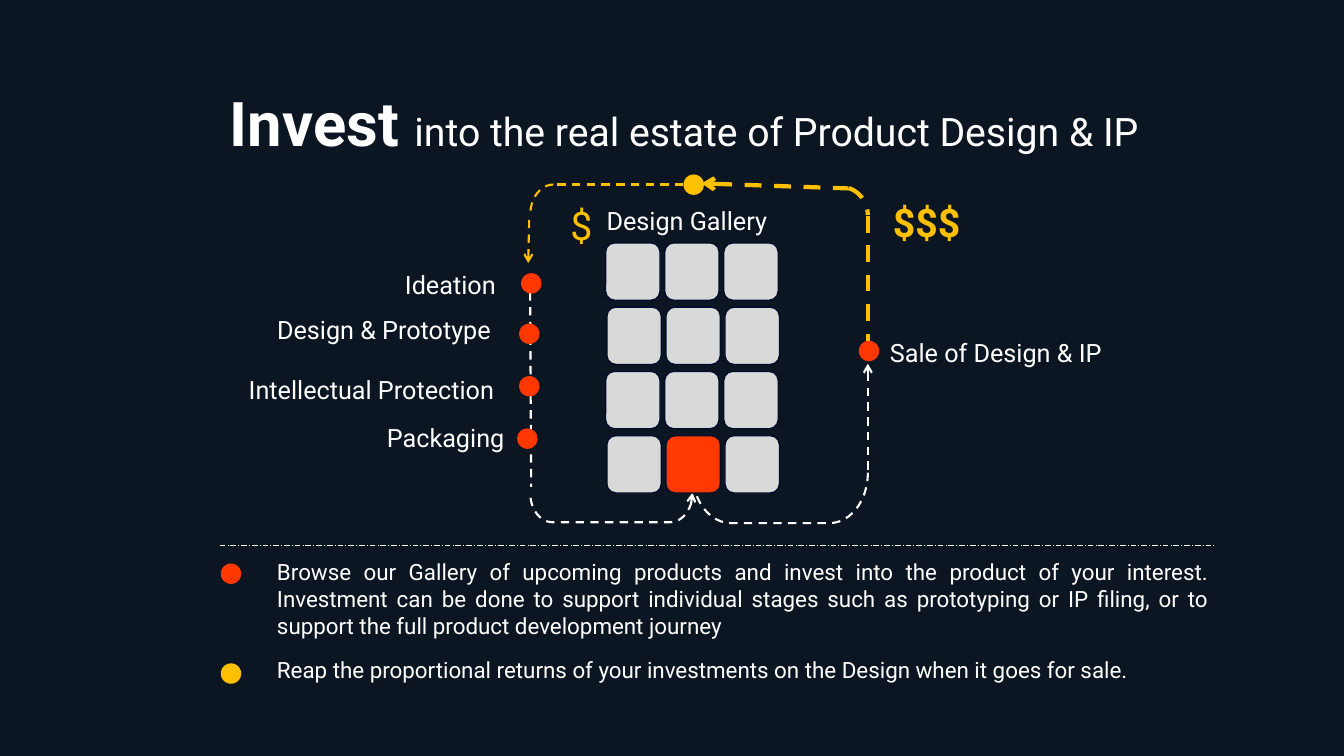
"""Build the slide on investing in product design and IP."""
from lxml.etree import SubElement
from pptx import Presentation
from pptx.dml.color import RGBColor
from pptx.enum.dml import MSO_LINE
from pptx.enum.shapes import MSO_CONNECTOR, MSO_SHAPE
from pptx.enum.text import MSO_ANCHOR, MSO_AUTO_SIZE, PP_ALIGN
from pptx.oxml.ns import qn
from pptx.util import Pt

NAVY = RGBColor(0x0C, 0x16, 0x22)
WHITE = RGBColor(0xFF, 0xFF, 0xFF)
ORANGE = RGBColor(0xFF, 0x37, 0x01)
CHOSEN = RGBColor(0xFF, 0x39, 0x01)
GOLD = RGBColor(0xFF, 0xC0, 0x00)
GREY = RGBColor(0xD9, 0xD9, 0xD9)
TILE_EDGE = RGBColor(0x00, 0x0E, 0x2A)
FONT = "Roboto"

TITLE_BOX = (157, 56.9, 710.6, 60.5)
TITLE_RUNS = [("Invest ", 44, True),
              ("into the real estate of Product Design & IP", 28, False)]

LABELS = [
    ("Ideation", 282.2, 188.6, 82.8),
    ("Design & Prototype", 190.8, 221, 179.3),
    ("Intellectual Protection", 170.6, 263.5, 200.2),
    ("Packaging", 269.3, 298.1, 99.4),
    ("Design Gallery", 426.2, 143.3, 135.4),
    ("Sale of Design & IP", 628.6, 237.6, 170.6),
]
AMOUNTS = [("$", 400.3, 140.4, 31, False), ("$$$", 630.7, 138.2, 65.5, True)]
NOTES = [
    ("Browse our Gallery of upcoming products and invest into the product of "
     "your interest. Investment can be done to support individual stages such "
     "as prototyping or IP filing, or to support the full product development "
     "journey", 395.3, 65.5),
    ("Reap the proportional returns of your investments on the Design when it "
     "goes for sale.", 465.1, 26.6),
]
NOTE_LEFT, NOTE_WIDTH = 190.8, 679.7

DOT_SIZE = 14.6
DOTS = [
    (157.7, 402.5, ORANGE), (157.7, 473.8, GOLD),
    (372.2, 195.1, ORANGE), (370.8, 231.1, ORANGE),
    (370.8, 268.6, ORANGE), (369.4, 306, ORANGE),
    (488.2, 124.6, GOLD), (613.4, 243.4, ORANGE),
]

DIVIDER = (157, 389.5, 867.6, 389.5)
ROUTES = [
    ((378.7, 208.8, 379.4, 347.8), WHITE, 1.5, None),
    ((488.2, 131.8, 395.3, 131.8), GOLD, 1.5, None),
    ((378, 157, 377.3, 187.9), GOLD, 1.5, "tailEnd"),
    ((501.1, 131, 606.2, 134.6), GOLD, 3, "headEnd"),
    ((619.9, 154.1, 619.9, 243.4), GOLD, 3, None),
    ((619.9, 259.9, 619.9, 337.7), WHITE, 1.5, "headEnd"),
]
BRACKETS = [((426.2, 304.6, 20.9, 115.9), "headEnd"),
            ((539.3, 293, 36, 125.3), None)]

TILE_WIDTH, TILE_HEIGHT = 38.9, 41
TILE_LEFT, TILE_TOP = 432.6, 173.5
COLUMN_STEP, ROW_STEP, ROW_SHIFT = 42.2, 45.9, 0.9
ROWS, COLUMNS, CHOSEN_TILE = 4, 3, (3, 1)


def points(*lengths):
    return [Pt(length) for length in lengths]


def add_run(paragraph, text, size, color, bold=False):
    run = paragraph.add_run()
    run.text = text
    run.font.name = FONT
    run.font.size = Pt(size)
    run.font.bold = bold
    run.font.color.rgb = color


def add_text(slide, text, box, size, color, bold=False, justified=False):
    frame = slide.shapes.add_textbox(*points(*box)).text_frame
    frame.word_wrap = justified
    frame.auto_size = MSO_AUTO_SIZE.SHAPE_TO_FIT_TEXT
    paragraph = frame.paragraphs[0]
    paragraph.alignment = PP_ALIGN.JUSTIFY if justified else PP_ALIGN.LEFT
    add_run(paragraph, text, size, color, bold)


def style_line(line, color, width, dash=MSO_LINE.DASH, arrow=None):
    line.color.rgb = color
    line.width = Pt(width)
    line.dash_style = dash
    if arrow:
        SubElement(line._get_or_add_ln(), qn(f"a:{arrow}"), type="arrow")


def add_route(slide, ends, *style, **options):
    route = slide.shapes.add_connector(MSO_CONNECTOR.STRAIGHT, *points(*ends))
    style_line(route.line, *style, **options)
    SubElement(route._element.spPr, qn("a:effectLst"))


def add_preset(slide, preset, box, fill=None):
    shape = slide.shapes.add_shape(preset, *points(*box))
    shape.shadow.inherit = False
    if fill is None:
        shape.fill.background()
    else:
        shape.fill.solid()
        shape.fill.fore_color.rgb = fill
    return shape


def add_title(slide):
    title = slide.shapes.title
    title.left, title.top, title.width, title.height = points(*TITLE_BOX)
    frame = title.text_frame
    frame.word_wrap = False
    frame.auto_size = MSO_AUTO_SIZE.SHAPE_TO_FIT_TEXT
    frame.vertical_anchor = MSO_ANCHOR.TOP
    frame.paragraphs[0].alignment = PP_ALIGN.LEFT
    for text, size, bold in TITLE_RUNS:
        add_run(frame.paragraphs[0], text, size, WHITE, bold)


def add_cycle(slide):
    for ends, color, width, arrow in ROUTES:
        add_route(slide, ends, color, width, arrow=arrow)
    for box, arrow in BRACKETS:
        bracket = add_preset(slide, MSO_SHAPE.LEFT_BRACKET, box)
        bracket.rotation = 270
        bracket.adjustments[0] = 0.763
        style_line(bracket.line, WHITE, 1.5, arrow=arrow)

    payment_bend = add_preset(slide, MSO_SHAPE.ARC, (378.7, 131.8, 33.1, 43.9))
    payment_bend._element.spPr.xfrm.set("flipH", "1")
    style_line(payment_bend.line, GOLD, 1.5)
    return_bend = add_preset(slide, MSO_SHAPE.ARC, (579.6, 133.2, 40.3, 41))
    return_bend.adjustments[0] = 173.42
    style_line(return_bend.line, GOLD, 3)

    for left, top, color in DOTS:
        dot = add_preset(slide, MSO_SHAPE.OVAL, (left, top, DOT_SIZE, DOT_SIZE), color)
        dot.line.fill.background()


def add_gallery(slide):
    for row in range(ROWS):
        for column in range(COLUMNS):
            left = TILE_LEFT + column * COLUMN_STEP + row % 2 * ROW_SHIFT
            top = TILE_TOP + row * ROW_STEP
            fill = CHOSEN if (row, column) == CHOSEN_TILE else GREY
            tile = add_preset(slide, MSO_SHAPE.ROUNDED_RECTANGLE,
                              (left, top, TILE_WIDTH, TILE_HEIGHT), fill)
            style_line(tile.line, TILE_EDGE, 1, MSO_LINE.SOLID)


def main():
    deck = Presentation()
    deck.slide_width, deck.slide_height = points(960, 540)
    slide = deck.slides.add_slide(deck.slide_layouts[5])
    slide.background.fill.solid()
    slide.background.fill.fore_color.rgb = NAVY

    add_title(slide)
    add_route(slide, DIVIDER, WHITE, 0.5, MSO_LINE.LONG_DASH_DOT)
    add_cycle(slide)
    add_gallery(slide)
    for text, left, top, width in LABELS:
        add_text(slide, text, (left, top, width, 28.8), 18, WHITE)
    for text, left, top, width, bold in AMOUNTS:
        add_text(slide, text, (left, top, width, 41), 28, GOLD, bold)
    for text, top, height in NOTES:
        add_text(slide, text, (NOTE_LEFT, top, NOTE_WIDTH, height), 16, WHITE,
                 justified=True)
    deck.save("out.pptx")


if __name__ == "__main__":
    main()
